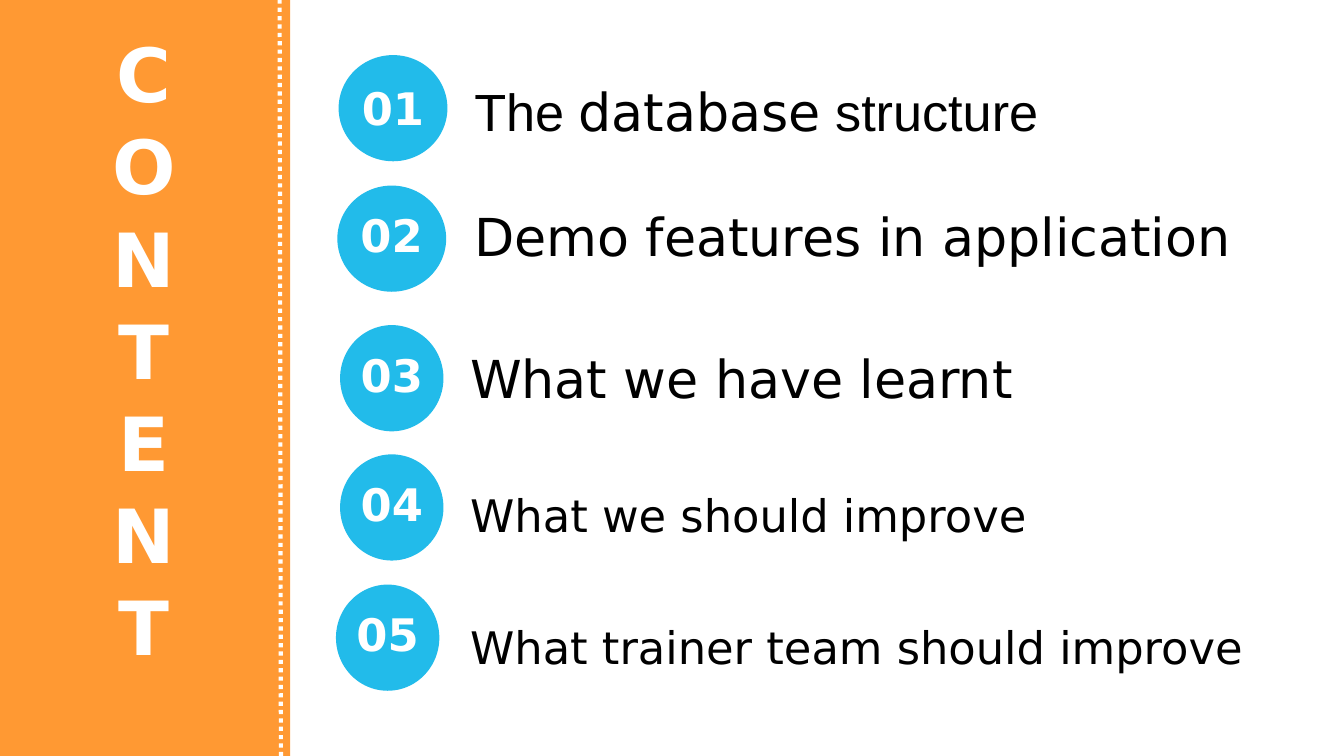
from dataclasses import dataclass

from pptx import Presentation
from pptx.dml.color import RGBColor
from pptx.enum.dml import MSO_LINE
from pptx.enum.shapes import MSO_CONNECTOR, MSO_SHAPE
from pptx.enum.text import MSO_ANCHOR, MSO_AUTO_SIZE, PP_ALIGN
from pptx.oxml.ns import qn
from pptx.util import Pt
from lxml.etree import SubElement


@dataclass(frozen=True)
class Theme:
    orange: RGBColor = RGBColor(0xFF, 0x99, 0x33)
    blue: RGBColor = RGBColor(0x22, 0xBB, 0xEA)
    white: RGBColor = RGBColor(0xFF, 0xFF, 0xFF)
    black: RGBColor = RGBColor(0, 0, 0)
    font: str = "DejaVu Sans"
    alternate_font: str = "Arial"
    title_size: int = 40
    large_size: int = 28
    medium_size: int = 24


@dataclass(frozen=True)
class AgendaItem:
    badge_left: float
    badge_top: float
    badge_width: float
    number_offset: float
    label_left: float
    label_top: float
    label_width: float
    label_height: float
    size: int
    line_spacing: float
    runs: tuple


THEME = Theme()

ITEMS = (
    AgendaItem(181.4, 29.5, 58.3, 15.1, 247, 38.9, 329, 41, THEME.large_size, 1,
               (("The ", THEME.alternate_font), ("database", THEME.font),
                (" structure", THEME.alternate_font))),
    AgendaItem(180.7, 99.4, 58.3, 13, 247, 105.8, 430, 41, THEME.large_size, 1,
               (("Demo features in application", THEME.font),)),
    AgendaItem(182.2, 174.2, 55.4, 13, 244.8, 182.2, 329, 41, THEME.large_size, 1,
               (("What we have learnt", THEME.font),)),
    AgendaItem(182.2, 243.4, 55.4, 13, 244.8, 243.4, 360.7, 45.4, THEME.medium_size, 1.5,
               (("What we should improve", THEME.font),)),
    AgendaItem(180, 313.2, 55.4, 13, 244.8, 313.9, 441.4, 45.4, THEME.medium_size, 1.5,
               (("What trainer team should improve", THEME.font),)),
)


def add_run(paragraph, text, size, color, font=THEME.font, bold=False):
    run = paragraph.add_run()
    run.text = text
    run.font.name = font
    run.font.size = Pt(size)
    run.font.bold = bold
    run.font.color.rgb = color


def add_filled_shape(shapes, preset, left, top, width, height, color):
    shape = shapes.add_shape(preset, Pt(left), Pt(top), Pt(width), Pt(height))
    shape.shadow.inherit = False
    shape.fill.solid()
    shape.fill.fore_color.rgb = color
    shape.line.fill.background()
    return shape


def write_centered(text_frame, text, size):
    text_frame.word_wrap = True
    text_frame.auto_size = MSO_AUTO_SIZE.NONE
    text_frame.vertical_anchor = MSO_ANCHOR.MIDDLE
    paragraph = text_frame.paragraphs[0]
    paragraph.alignment = PP_ALIGN.CENTER
    paragraph.space_before = Pt(3.2)
    add_run(paragraph, text, size, THEME.white, bold=True)
    return paragraph


def add_sidebar(slide):
    band = add_filled_shape(slide.shapes, MSO_SHAPE.RECTANGLE, 0, 0, 155.5, 405, THEME.orange)
    title = slide.shapes.title
    band.element.addnext(title.element)
    title.left, title.top, title.width, title.height = Pt(52.6), Pt(129.6), Pt(49), Pt(113.8)
    paragraph = write_centered(title.text_frame, "CONTENT", THEME.title_size)
    paragraph.line_spacing = 1.03


def add_dotted_line(slide):
    line = slide.shapes.add_connector(
        MSO_CONNECTOR.STRAIGHT, Pt(150.5), Pt(405), Pt(149.8), Pt(0))
    line.line.color.rgb = THEME.white
    line.line.width = Pt(2.25)
    line.line.dash_style = MSO_LINE.ROUND_DOT
    SubElement(line.element.spPr, qn("a:effectLst"))


def add_badge(slide, item, number):
    group = slide.shapes.add_group_shape()
    add_filled_shape(group.shapes, MSO_SHAPE.OVAL, item.badge_left, item.badge_top,
                     item.badge_width, 56.9, THEME.blue)
    text_box = group.shapes.add_textbox(
        Pt(item.badge_left + 2.5), Pt(item.badge_top + item.number_offset),
        Pt(item.badge_width - 5), Pt(26.6))
    write_centered(text_box.text_frame, f"{number:02}", THEME.medium_size)


def add_label(slide, item):
    text_box = slide.shapes.add_textbox(
        Pt(item.label_left), Pt(item.label_top), Pt(item.label_width), Pt(item.label_height))
    text_frame = text_box.text_frame
    text_frame.word_wrap = True
    text_frame.auto_size = MSO_AUTO_SIZE.SHAPE_TO_FIT_TEXT
    paragraph = text_frame.paragraphs[0]
    paragraph.line_spacing = item.line_spacing
    for text, font in item.runs:
        add_run(paragraph, text, item.size, THEME.black, font)


def main():
    presentation = Presentation()
    presentation.slide_width = Pt(720)
    presentation.slide_height = Pt(405)
    slide = presentation.slides.add_slide(presentation.slide_layouts[5])
    add_sidebar(slide)
    add_dotted_line(slide)
    for number, item in enumerate(ITEMS, start=1):
        add_badge(slide, item, number)
        add_label(slide, item)
    presentation.save("out.pptx")


if __name__ == "__main__":
    main()
